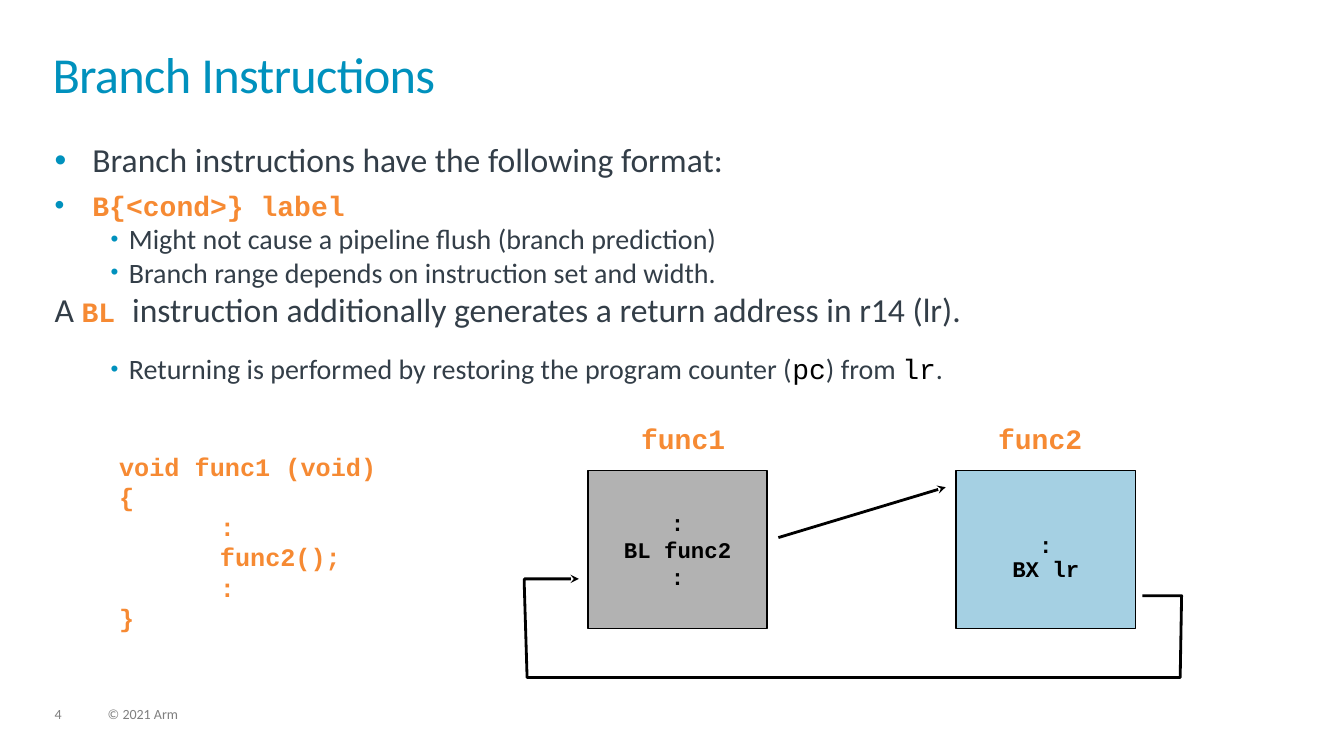
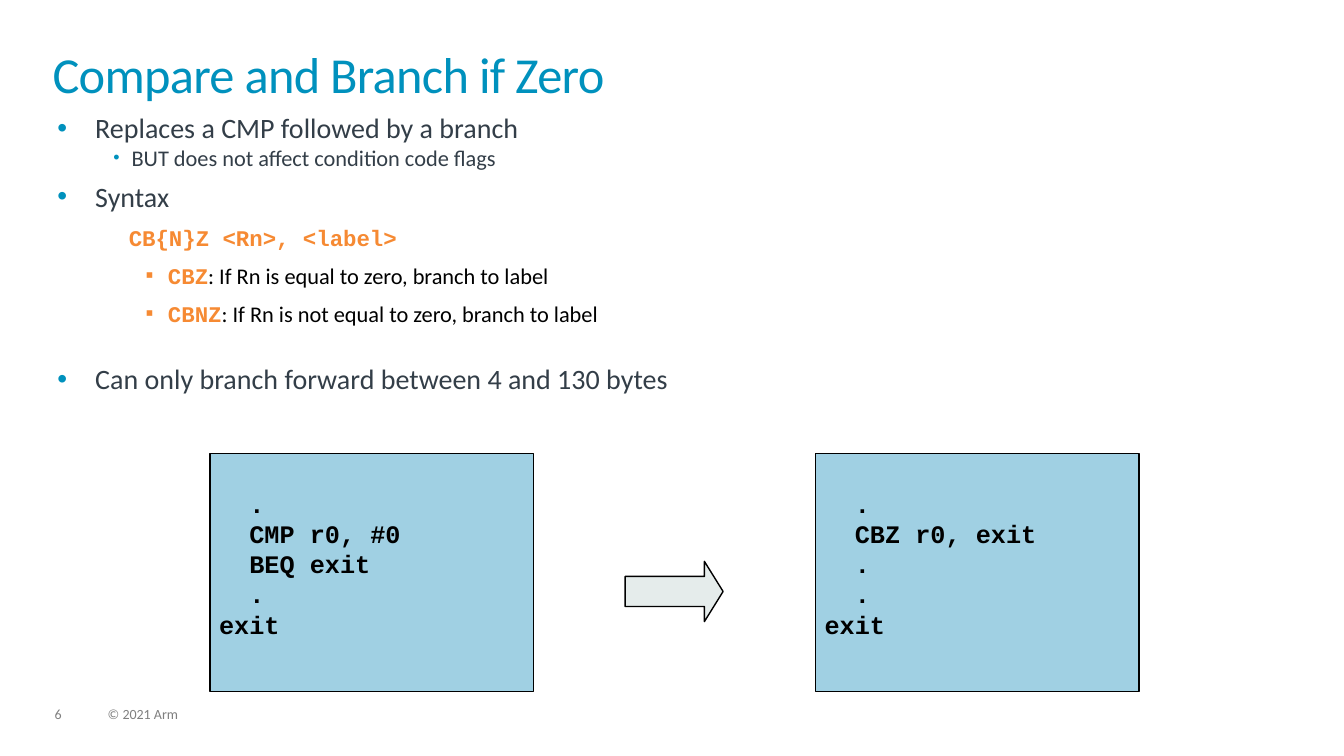
"""Build two slides on branch instructions."""
from lxml import etree
from pptx import Presentation
from pptx.dml.color import RGBColor
from pptx.enum.shapes import MSO_CONNECTOR, MSO_SHAPE
from pptx.enum.text import MSO_ANCHOR, MSO_AUTO_SIZE, PP_ALIGN
from pptx.oxml.ns import qn
from pptx.util import Pt

LEFT, CENTER = PP_ALIGN.LEFT, PP_ALIGN.CENTER
TOP, MIDDLE = MSO_ANCHOR.TOP, MSO_ANCHOR.MIDDLE
NO_FIT = MSO_AUTO_SIZE.NONE
RECTANGLE, RIGHT_ARROW = MSO_SHAPE.RECTANGLE, MSO_SHAPE.RIGHT_ARROW
STRAIGHT = MSO_CONNECTOR.STRAIGHT

BLUE = RGBColor(0x00, 0x91, 0xBD)
SLATE = RGBColor(0x33, 0x3E, 0x48)
ORANGE = RGBColor(0xF6, 0x8A, 0x33)
BLACK = RGBColor(0x00, 0x00, 0x00)
FOOTER_GRAY = RGBColor(0x7F, 0x7F, 0x7F)
CALLER_GRAY = RGBColor(0xB2, 0xB2, 0xB2)
CALLEE_BLUE = RGBColor(0xA5, 0xD0, 0xE3)
LISTING_BLUE = RGBColor(0xA0, 0xD0, 0xE3)
ARROW_GRAY = RGBColor(0xE5, 0xEC, 0xEB)

HEADING = ("Calibri", BLUE, False)
BODY = ("Calibri", SLATE, False)
NOTE = ("Calibri", BLACK, False)
FOOTER = ("Calibri", FOOTER_GRAY, False)
CODE = ("Courier New", ORANGE, True)
REGISTER = ("Courier New", BLACK, False)
ASSEMBLY = ("Courier New", BLACK, True)

MAIN = dict(left=27, hang=27, bullet="•", before=6)
SUB = dict(level=1, left=53, hang=13, bullet="•", scale=80)
CASE = dict(level=2, left=79, hang=16, bullet="▪", bullet_color=ORANGE,
            before=4, line=1.2)


def write(frame, runs, level=0, left=0, hang=0, bullet=None, bullet_color=BLUE,
          scale=100, before=0, after=0, line=1.0, align=LEFT):
    """Add one paragraph made of (text, size, style) runs."""
    paragraph = frame.paragraphs[0]
    if paragraph.runs:
        paragraph = frame.add_paragraph()
    else:
        before = 0
    paragraph.level = level
    paragraph.alignment = align
    paragraph.line_spacing = line
    paragraph.space_before = Pt(before)
    paragraph.space_after = Pt(after)
    properties = paragraph._p.get_or_add_pPr()
    properties.set("marL", str(Pt(left)))
    properties.set("indent", str(-Pt(hang)))
    if bullet:
        color = etree.SubElement(properties, qn("a:buClr"))
        etree.SubElement(color, qn("a:srgbClr"), val=str(bullet_color))
        etree.SubElement(properties, qn("a:buSzPct"), val=str(scale * 1000))
        etree.SubElement(properties, qn("a:buFont"), typeface="Arial")
        etree.SubElement(properties, qn("a:buChar"), char=bullet)
    else:
        etree.SubElement(properties, qn("a:buNone"))
    for text, size, (typeface, color, bold) in runs:
        run = paragraph.add_run()
        run.text = text
        run.font.size = Pt(size)
        run.font.name = typeface
        run.font.color.rgb = color
        run.font.bold = bold
    return paragraph


def add_block(slide, kind, x, y, width, height, fill):
    """Add a filled preset shape with a thin black outline."""
    block = slide.shapes.add_shape(kind, Pt(x), Pt(y), Pt(width), Pt(height))
    block.shadow.inherit = False
    block.fill.solid()
    block.fill.fore_color.rgb = fill
    block.line.color.rgb = BLACK
    block.line.width = Pt(1)
    return block


prs = Presentation()
prs.slide_width, prs.slide_height = Pt(960), Pt(540)

branch_points = [
    ([("Branch instructions have the following format:", 24, BODY)], MAIN),
    ([("B{<cond>} label", 20, CODE)], MAIN),
    ([("Might not cause a pipeline flush (branch prediction)", 20, BODY)], SUB),
    ([("Branch range depends on instruction set and width.", 20, BODY)], SUB),
    ([("A ", 24, BODY), ("BL ", 20, CODE),
      ("instruction additionally generates a return address in r14 (lr).",
       24, BODY)], dict(level=1, after=16)),
    ([("Returning is performed by restoring the program counter (", 20, BODY),
      ("pc", 20, REGISTER), (") from ", 20, BODY), ("lr", 20, REGISTER),
      (".", 20, BODY)], SUB),
]
compare_points = [
    ([("Replaces a CMP followed by a branch", 20, BODY)], MAIN),
    ([("BUT does not affect condition code flags", 16, BODY)], SUB),
    ([("Syntax", 20, BODY)], MAIN),
    ([("CB{N}Z <Rn>, <label>", 16, CODE)],
     dict(level=1, left=51, before=4, line=1.2)),
    ([("CBZ", 16, CODE),
      (": If Rn is equal to zero, branch to label", 16, NOTE)], CASE),
    ([("CBNZ", 16, CODE),
      (": If Rn is not equal to zero, branch to label", 16, NOTE)], CASE),
    ([("Can only branch forward between 4 and 130 bytes", 20, BODY)],
     dict(MAIN, before=25)),
]

slides = []
for heading, number, points, body_x, body_y in [
    ("Branch Instructions", "4", branch_points, 39, 99.5),
    ("Compare and Branch if Zero", "6", compare_points, 41, 79),
]:
    slide = prs.slides.add_slide(prs.slide_layouts[1])
    slides.append(slide)
    title, body = slide.placeholders
    for holder, x, y, width, height in [
        (title, 37.5, 37.5, 884, 52),
        (body, body_x, body_y, 880, 322),
    ]:
        holder.left, holder.top = Pt(x), Pt(y)
        holder.width, holder.height = Pt(width), Pt(height)
        frame = holder.text_frame
        frame.margin_left = frame.margin_right = Pt(0)
        frame.margin_top = frame.margin_bottom = Pt(0)
        frame.vertical_anchor = TOP
        frame.auto_size = NO_FIT
        frame.word_wrap = True
    headline = write(title.text_frame, [(heading, 36, HEADING)], line=0.85)
    headline.runs[0].font._element.set("spc", "-50")
    for runs, layout in points:
        write(body.text_frame, runs, **layout)
    for text, x, width in [(number, 39, 24), ("© 2021 Arm", 77, 365)]:
        footer = slide.shapes.add_textbox(Pt(x), Pt(505), Pt(width), Pt(11))
        frame = footer.text_frame
        frame.margin_left = frame.margin_right = Pt(0)
        frame.margin_top = frame.margin_bottom = Pt(0)
        frame.word_wrap = True
        write(frame, [(text, 10, FOOTER)], line=0.9)

branch_slide, compare_slide = slides

for name, label_x, box_x, fill, top_inset, line, instructions in [
    ("func1", 428, 420, CALLER_GRAY, 4, 1.0, [":", "BL func2", ":"]),
    ("func2", 683, 683, CALLEE_BLUE, 16, 0.9, [":", "BX lr"]),
]:
    function = add_block(branch_slide, RECTANGLE, box_x, 336, 128, 113, fill)
    function.text_frame.vertical_anchor = MIDDLE
    function.text_frame.margin_top = Pt(top_inset)
    function.text_frame.margin_bottom = Pt(4)
    for instruction in instructions:
        write(function.text_frame, [(instruction, 16, ASSEMBLY)],
              line=line, align=CENTER)
    label = branch_slide.shapes.add_textbox(Pt(label_x), Pt(300), Pt(120), Pt(29))
    label.text_frame.word_wrap = True
    write(label.text_frame, [(name, 20, CODE)], line=0.9, align=CENTER)

call_arrow = branch_slide.shapes.add_connector(
    STRAIGHT, Pt(556), Pt(384), Pt(675.5), Pt(348))
return_route = [(844, 425.5), (843, 484), (376.5, 484), (374.5, 419),
                (374.5, 413.5), (413.5, 413.5)]
route_builder = branch_slide.shapes.build_freeform(Pt(816), Pt(425.5), scale=1.0)
route_builder.add_line_segments([(Pt(x), Pt(y)) for x, y in return_route],
                                close=False)
return_arrow = route_builder.convert_to_shape()
return_arrow.fill.background()
for arrow in (call_arrow, return_arrow):
    arrow.line.color.rgb = BLACK
    arrow.line.width = Pt(2)
    properties = arrow._element.spPr
    etree.SubElement(properties.find(qn("a:ln")), qn("a:tailEnd"), type="stealth")
    etree.SubElement(properties, qn("a:effectLst"))

source_code = branch_slide.shapes.add_textbox(Pt(78), Pt(318), Pt(210), Pt(138))
source_code.text_frame.word_wrap = True
source_code.text_frame.vertical_anchor = MIDDLE
for text, indent in [("void func1 (void)", 0), ("{", 0), (":", 72),
                     ("func2();", 72), (":", 72), ("}", 0)]:
    write(source_code.text_frame, [(text, 18, CODE)], left=indent)

for x, instructions in [
    (150, ["  .", "  CMP r0, #0", "  BEQ exit", "  .", "exit"]),
    (582.5, ["  .", "  CBZ r0, exit", "  .", "  .", "exit"]),
]:
    listing = add_block(compare_slide, RECTANGLE, x, 324, 231, 170, LISTING_BLUE)
    frame = listing.text_frame
    frame.vertical_anchor = TOP
    frame.margin_left = frame.margin_right = Pt(6.5)
    frame.margin_top = Pt(24.5)
    for instruction in instructions:
        write(frame, [(instruction, 18, ASSEMBLY)])

becomes = add_block(compare_slide, RIGHT_ARROW, 446.5, 401, 70, 43, ARROW_GRAY)
becomes.adjustments[0] = 0.5
becomes.adjustments[1] = 0.31

prs.save("out.pptx")
